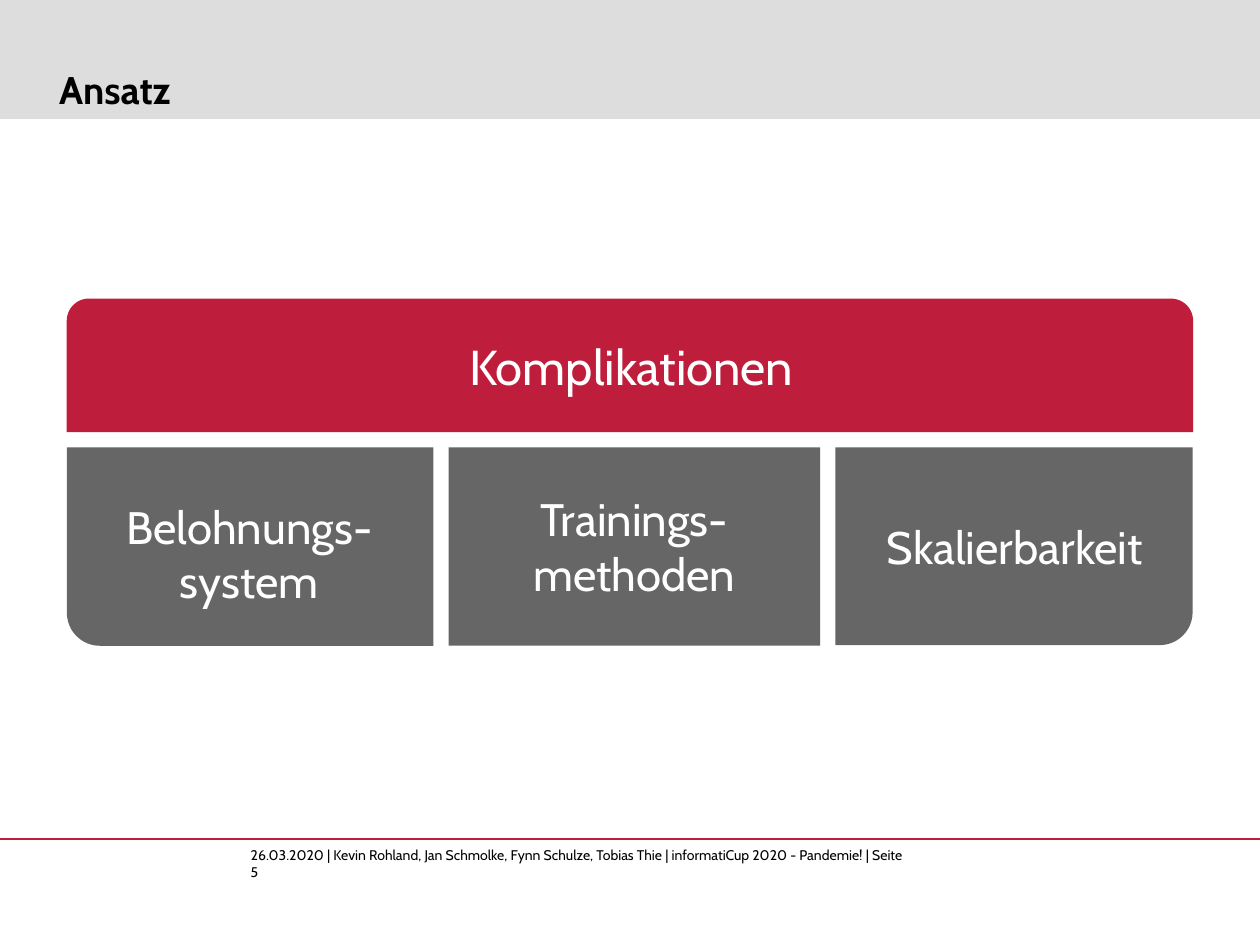
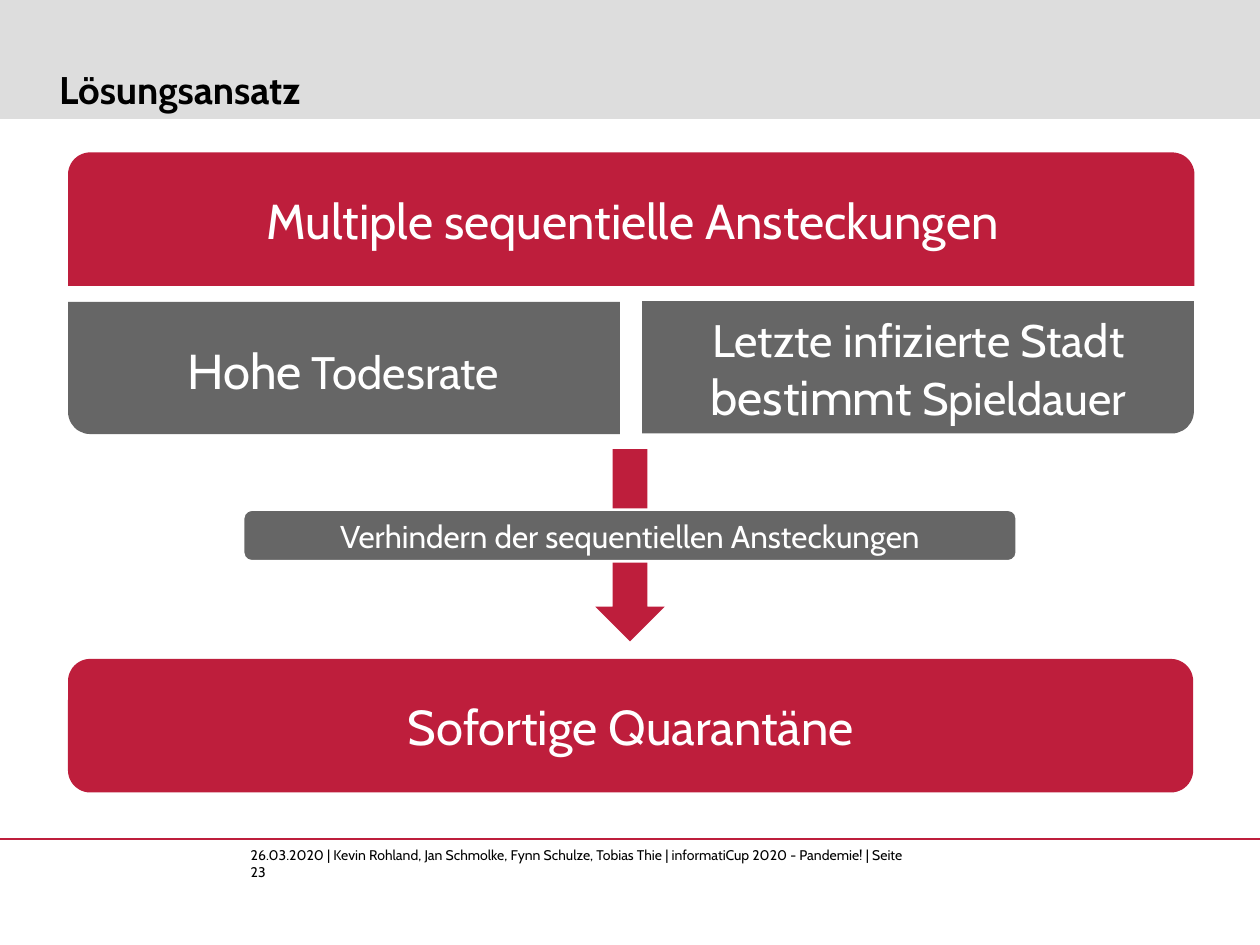
from lxml import etree
from pptx import Presentation
from pptx.dml.color import RGBColor
from pptx.enum.shapes import MSO_CONNECTOR as Connector, MSO_SHAPE as Shape
from pptx.enum.text import MSO_ANCHOR as Anchor, PP_ALIGN as Align
from pptx.oxml.ns import qn
from pptx.util import Inches, Pt

COLOURS = {"red": "BE1E3C", "grey": "666666", "band": "DDDDDD",
           "white": "FFFFFF", "black": "000000"}
FONT = "Cabin"
COLUMNS, ROWS = 100, 75
FOOTER = ("26.03.2020 | Kevin Rohland, Jan Schmolke, Fynn Schulze, Tobias Thie"
          " | informatiCup 2020 - Pandemie! | Seite ")

deck = Presentation()
deck.slide_width, deck.slide_height = Inches(10), Inches(7.5)
column, row = deck.slide_width / COLUMNS, deck.slide_height / ROWS


def add_panel(page, kind, colour, left, top, width, height):
    panel = page.shapes.add_shape(kind, int(left * column), int(top * row),
                                  int(width * column), int(height * row))
    panel.shadow.inherit = False
    panel.fill.solid()
    panel.fill.fore_color.rgb = RGBColor.from_string(COLOURS[colour])
    panel.line.fill.background()
    return panel


def write(box, lines, colour="white", align=Align.CENTER, anchor=Anchor.MIDDLE,
          bold=False, inset=True):
    frame = box.text_frame
    frame.word_wrap = True
    frame.vertical_anchor = anchor
    if not inset:
        frame.margin_left = frame.margin_right = 0
        frame.margin_top = frame.margin_bottom = 0
    for index, spans in enumerate(lines):
        para = frame.add_paragraph() if index else frame.paragraphs[0]
        para.alignment = align
        for text, size in spans:
            span = para.add_run()
            span.text = text
            span.font.name = FONT
            span.font.size = Pt(size)
            span.font.bold = bold
            span.font.color.rgb = RGBColor.from_string(COLOURS[colour])


pages = []
for title, number in (("Ansatz", "5"), ("Lösungsansatz", "23")):
    page = deck.slides.add_slide(deck.slide_layouts[6])
    pages.append(page)
    add_panel(page, Shape.RECTANGLE, "band", 0, 0, COLUMNS, 9.45)
    rule = page.shapes.add_connector(Connector.STRAIGHT, 0, int(66.6 * row),
                                     deck.slide_width, int(66.6 * row))
    rule.line.color.rgb = RGBColor.from_string(COLOURS["red"])
    rule.line.width = Pt(0.75)
    etree.SubElement(rule._element.spPr, qn("a:effectLst"))
    for text, size, bold, anchor, left, top, width, height in (
            (title, 22, True, Anchor.BOTTOM, 4.7, 1.2, 91.6, 7.7),
            (FOOTER + number, 8, False, Anchor.TOP, 19.9, 67.2, 52.4, 2.7)):
        box = page.shapes.add_textbox(int(left * column), int(top * row),
                                      int(width * column), int(height * row))
        write(box, [[(text, size)]], "black", Align.LEFT, anchor, bold, inset=False)

approach, solution = pages

for page, kind, colour, flipped, left, top, width, height in (
        (approach, Shape.ROUND_2_SAME_RECTANGLE, "red", None, 5.3, 23.7, 89.4, 10.6),
        (approach, Shape.ROUND_1_RECTANGLE, "grey", False, 5.3, 35.5, 29.1, 15.75),
        (approach, Shape.RECTANGLE, "grey", None, 35.6, 35.5, 29.5, 15.75),
        (approach, Shape.ROUND_1_RECTANGLE, "grey", True, 66.3, 35.5, 28.35, 15.7),
        (solution, Shape.ROUND_2_SAME_RECTANGLE, "red", None, 5.4, 12.1, 89.4, 10.6),
        (solution, Shape.ROUND_1_RECTANGLE, "grey", False, 5.4, 23.95, 43.8, 10.5),
        (solution, Shape.ROUND_1_RECTANGLE, "grey", True, 50.95, 23.9, 43.8, 10.5)):
    panel = add_panel(page, kind, colour, left, top, width, height)
    if flipped is not None:
        panel.rotation = 180
    if flipped:
        panel._element.spPr.xfrm.set("flipH", "1")

for page, lines, left, top, width, height in (
        (approach, [[("Komplikationen", 28)]], 5.4, 26.2, 89.4, 5.7),
        (approach, [[("Belohnungs-", 26)], [("system", 26)]], 4.3, 39.1, 31, 9.8),
        (approach, [[("Trainings-methoden", 26)]], 35.6, 38.5, 29.5, 9.8),
        (approach, [[("Skalierbarkeit", 26)]], 66.4, 40.7, 28.3, 5.4),
        (solution, [[("Multiple sequentielle Ansteckungen", 28)]], 5.5, 14.6, 89.4, 5.7),
        (solution, [[("Hohe", 28), (" Todesrate", 26)]], 5.3, 26.5, 43.9, 5.7),
        (solution, [[("Letzte infizierte Stadt", 26)],
                    [("bestimmt", 28), (" Spieldauer", 26)]], 51, 24.3, 43.8, 10.1)):
    box = page.shapes.add_textbox(int(left * column), int(top * row),
                                  int(width * column), int(height * row))
    write(box, lines, anchor=Anchor.TOP)

quarantine = add_panel(solution, Shape.ROUNDED_RECTANGLE, "red", 5.4, 52.3, 89.3, 10.6)
write(quarantine, [[("Sofortige Quarantäne", 28)]])
add_panel(solution, Shape.DOWN_ARROW, "red", 47.25, 35.65, 5.5, 15.25)
prevention = add_panel(solution, Shape.ROUNDED_RECTANGLE, "grey", 19.3, 40.45, 61.4, 4.1)
prevention.line.color.rgb = RGBColor.from_string(COLOURS["white"])
prevention.line.width = Pt(1.5)
write(prevention, [[("Verhindern der sequentiellen Ansteckungen", 18)]])

deck.save("out.pptx")
